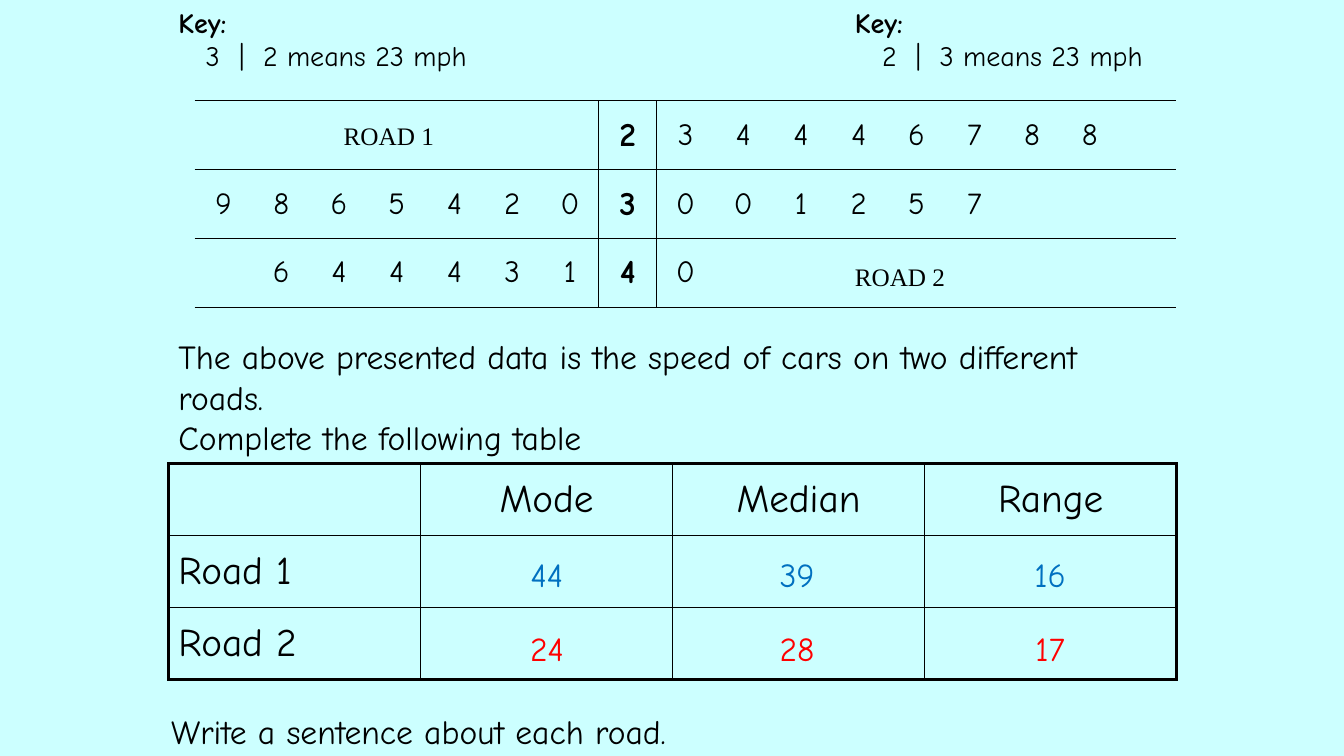
import pptx
import pptx.dml.color
import pptx.enum.text
import pptx.oxml
import pptx.oxml.ns
import pptx.util
from pptx.util import Inches

HEX = {"back": "CCFFFF", "ink": "000000", "blue": "0070C0", "red": "FF0000"}
HAND, SERIF = "Comic Neue", "Times New Roman"
ALIGN = pptx.enum.text.PP_ALIGN
ANCHOR = pptx.enum.text.MSO_ANCHOR
FIT = pptx.enum.text.MSO_AUTO_SIZE
THIN, THICK = 1, 2.25


def color(name):
    return pptx.dml.color.RGBColor.from_string(HEX[name])


def add_run(para, words, size, tint="ink", face=HAND, bold=False):
    run = para.add_run()
    run.text = words
    font = run.font
    font.size = pptx.util.Pt(size)
    font.name = face
    font.bold = bold
    font.color.rgb = color(tint)


def add_box(slide, place, anchor=ANCHOR.TOP, wrap=True):
    box = slide.shapes.add_textbox(*map(Inches, place))
    frame = box.text_frame
    frame.word_wrap = wrap
    frame.auto_size = FIT.SHAPE_TO_FIT_TEXT
    frame.vertical_anchor = anchor
    return frame


def set_tabs(para, stops):
    """Add tab stops given as (inches, alignment) pairs."""
    props = para._p.get_or_add_pPr()
    tabs = pptx.oxml.parse_xml(f'<a:tabLst {pptx.oxml.ns.nsdecls("a")}/>')
    for pos, side in stops:
        tab = tabs.makeelement(pptx.oxml.ns.qn("a:tab"), {"pos": str(Inches(pos)), "algn": side})
        tabs.append(tab)
    props.append(tabs)


def add_key(slide, left, first, second):
    frame = add_box(slide, (left, 0, 3.29, 0.77), ANCHOR.MIDDLE)
    add_run(frame.paragraphs[0], "Key:", 20, bold=True)
    para = frame.add_paragraph()
    set_tabs(para, [(0.27, "l"), (0.63, "ctr"), (0.84, "l")])
    add_run(para, f"\t{first}\t|\t{second} means 23 mph", 20)


def set_edges(cell, **edges):
    """Draw the named sides (L, R, T, B) at a width in points; 0 hides one."""
    props = cell._tc.get_or_add_tcPr()
    space = pptx.oxml.ns.nsdecls("a")
    for side in "LRTB":
        width = edges.get(side, 0)
        paint = f'<a:solidFill><a:srgbClr val="{HEX["ink"]}"/></a:solidFill>' if width else "<a:noFill/>"
        props.append(pptx.oxml.parse_xml(
            f'<a:ln{side} {space} w="{pptx.util.Pt(width)}">{paint}</a:ln{side}>'))
    cell.fill.background()


def add_grid(slide, rows, cols, place):
    table = slide.shapes.add_table(rows, cols, *map(Inches, place)).table
    table.first_row = False
    table.horz_banding = False
    return table


def fill_cell(cell, words, size, align=ALIGN.CENTER, bold=False):
    cell.vertical_anchor = ANCHOR.MIDDLE
    para = cell.text_frame.paragraphs[0]
    para.alignment = align
    if words:
        add_run(para, words, size, bold=bold)


def add_stems(slide):
    """Back-to-back stem and leaf plot, with the stems in the middle column."""
    plot = [("", "2", "34446788"), ("9865420", "3", "001257"), ("644431", "4", "0")]
    mid, count = 7, 17
    table = add_grid(slide, len(plot), count, (1.93, 1, 9.74, 2.05))
    for row, (left, stem, right) in enumerate(plot):
        line = left.rjust(mid) + stem + right.ljust(count - mid - 1)
        for col, digit in enumerate(line):
            cell = table.cell(row, col)
            is_stem = col == mid
            fill_cell(cell, digit.strip(), 24 if is_stem else 22, bold=is_stem)
            set_edges(cell, T=THIN, B=THIN,
                      L=THIN if col in (mid, mid + 1) else 0,
                      R=THIN if col in (mid - 1, mid) else 0)


def add_stats(slide):
    labels = [("", "Mode", "Median", "Range"), ("Road 1", "", "", ""), ("Road 2", "", "", "")]
    table = add_grid(slide, 3, 4, (1.67, 4.6, 10, 2.14))
    for row, line in enumerate(labels):
        for col, words in enumerate(line):
            cell = table.cell(row, col)
            fill_cell(cell, words, 28, ALIGN.CENTER if col else ALIGN.LEFT)
            set_edges(cell,
                      L=THIN if col else THICK, R=THICK if col == 3 else THIN,
                      T=THIN if row else THICK, B=THICK if row == 2 else THIN)


def add_answers(slide):
    spans = [(4.15, 2.55), (6.63, 2.55), (9.23, 2.37)]
    rows = [(5.45, "blue", ("44", "39", "16")), (6.18, "red", ("24", "28", "17"))]
    for top, tint, values in rows:
        for (left, width), value in zip(spans, values):
            para = add_box(slide, (left, top, width, 0.5)).paragraphs[0]
            para.alignment = ALIGN.CENTER
            add_run(para, value, 24, tint)


def main():
    deck = pptx.Presentation()
    deck.slide_width, deck.slide_height = Inches(13.33), Inches(7.5)
    slide = deck.slides.add_slide(deck.slide_layouts[6])
    slide.background.fill.solid()
    slide.background.fill.fore_color.rgb = color("back")

    add_key(slide, 8.38, 2, 3)
    task = add_box(slide, (1.67, 3.28, 10, 1.31), ANCHOR.MIDDLE)
    add_run(task.paragraphs[0],
            "The above presented data is the speed of cars on two different roads.", 24)
    add_run(task.add_paragraph(), "Complete the following table", 24)
    add_key(slide, 1.67, 3, 2)

    add_stems(slide)
    add_stats(slide)
    prompt = add_box(slide, (1.6, 7, 10, 0.5))
    add_run(prompt.paragraphs[0], "Write a sentence about each road.", 24)
    add_answers(slide)
    for name, left, top in [("ROAD 1", 3.31, 1.14), ("ROAD 2", 8.38, 2.54)]:
        label = add_box(slide, (left, top, 1.11, 0.4), wrap=False)
        add_run(label.paragraphs[0], name, 18, face=SERIF)

    deck.save("out.pptx")


if __name__ == "__main__":
    main()
